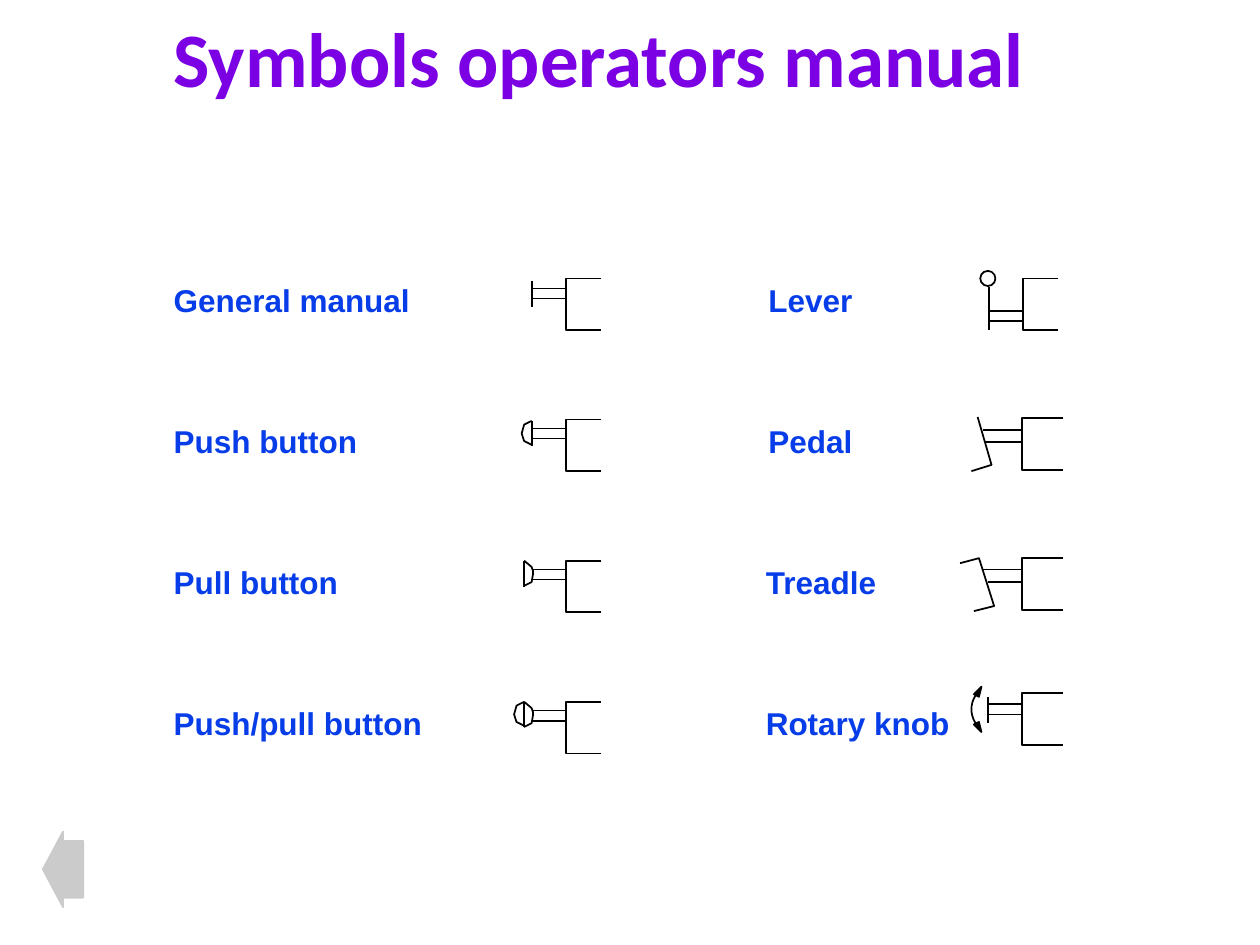
from math import cos, radians, sin

from lxml.etree import SubElement
from pptx import Presentation
from pptx.dml.color import RGBColor
from pptx.enum.shapes import MSO_CONNECTOR as CONNECTOR, MSO_SHAPE as SHAPE
from pptx.enum.text import MSO_ANCHOR as ANCHOR, PP_ALIGN as ALIGN
from pptx.oxml.ns import qn
from pptx.util import Inches, Pt

PURPLE = RGBColor(0x7B, 0x00, 0xE4)
BLUE = RGBColor(0x06, 0x3D, 0xE8)
BLACK = RGBColor(0, 0, 0)
GREY = RGBColor(0xCB, 0xCB, 0xCB)

# Grid in inches: four rows, each with a label and a symbol in two columns
ROW_TOP, ROW_PITCH = 2.18, 1.12
BODY_DROP, BODY_HEIGHT = 0.03, 0.41
LEFT_LABEL, LEFT_BODY = 1.28, 4.49
RIGHT_LABEL, RIGHT_BODY = 6.0, 8.11


# Symbol parts, measured from the top left corner of the valve body
def body(width):
    return [(width, 0), (0, 0), (0, BODY_HEIGHT), (width, BODY_HEIGHT)]


def bar(x, top, bottom):
    return [(x, top), (x, bottom)]


def stalk(upper_start, lower_start, top, gap):
    return [[(upper_start, top), (0, top)],
            [(lower_start, top + gap), (0, top + gap)]]


def shifted(points, dx, dy):
    return [(x + dx, y + dy) for x, y in points]


def arc(cx, cy, radius, start, end, steps=12):
    angles = [radians(start + (end - start) * i / steps) for i in range(steps + 1)]
    return [(cx + radius * cos(a), cy + radius * sin(a)) for a in angles]


PUSH_CAP = [(-0.27, 0.01), (-0.33, 0.04), (-0.35, 0.11), (-0.33, 0.17), (-0.27, 0.2)]
PULL_CAP = [(-0.33, 0.2), (-0.27, 0.17), (-0.26, 0.11), (-0.26, 0.08),
            (-0.27, 0.05), (-0.33, 0)]
BUTTON_STALK = stalk(-0.27, -0.27, 0.07, 0.08)
TURN_CENTRE = 0.13
UPPER_HEAD = [(-0.34, 0.03), (-0.38, 0.01), (-0.32, -0.05)]
LOWER_HEAD = [(x, 2 * TURN_CENTRE - y) for x, y in UPPER_HEAD]

# Label, label width, strokes
LEFT_OPERATORS = [
    ("General manual", 2.08, [body(0.28), bar(-0.27, 0.02, 0.23),
                              *stalk(-0.27, -0.27, 0.08, 0.08)]),
    ("Push button", 1.66, [body(0.28), bar(-0.27, 0.01, 0.21), PUSH_CAP, *BUTTON_STALK]),
    ("Pull button", 1.51, [body(0.28), bar(-0.33, 0, 0.21), PULL_CAP, *BUTTON_STALK]),
    ("Push/pull button", 2.17, [body(0.28), bar(-0.33, 0, 0.2), PULL_CAP,
                                shifted(PUSH_CAP, -0.06, -0.01), *BUTTON_STALK]),
]
# Label, label width, strokes, label shift, symbol shift, knob box, filled heads
RIGHT_OPERATORS = [
    ("Lever", 0.87, [body(0.28), bar(-0.27, 0.07, 0.41),
                     *stalk(-0.26, -0.26, 0.26, 0.08)],
     0, (0.01, 0), (-0.34, -0.06, 0.12), []),
    ("Pedal", 0.87, [body(0.33), [(-0.35, -0.01), (-0.24, 0.37), (-0.4, 0.42)],
                     *stalk(-0.31, -0.29, 0.09, 0.1)],
     0, (0, -0.01), None, []),
    ("Treadle", 1.09, [body(0.33),
                       [(-0.49, 0.04), (-0.34, 0), (-0.22, 0.38), (-0.38, 0.42)],
                       *stalk(-0.31, -0.27, 0.09, 0.1)],
     -0.02, (0, -0.02), None, []),
    ("Rotary knob", 1.66, [body(0.33), bar(-0.27, 0.03, 0.24),
                           *stalk(-0.26, -0.26, 0.09, 0.08),
                           arc(-0.2, TURN_CENTRE, 0.2, 135, 225)],
     -0.02, (0, -0.07), None, [UPPER_HEAD, LOWER_HEAD]),
]


def ink(shape, fill=None, line=BLACK):
    shape.shadow.inherit = False
    if fill is None:
        shape.fill.background()
    else:
        shape.fill.solid()
        shape.fill.fore_color.rgb = fill
    shape.line.color.rgb = line
    shape.line.width = Pt(1)


def add_stroke(shapes, points, fill=None):
    """Draw two points as a line, more points as an outline."""
    points = [(Inches(x), Inches(y)) for x, y in points]
    if len(points) == 2:
        line = shapes.add_connector(CONNECTOR.STRAIGHT, *points[0], *points[1])
        line.line.color.rgb = BLACK
        line.line.width = Pt(1)
        SubElement(line._element.spPr, qn("a:effectLst"))
    else:
        outline = shapes.build_freeform(*points[0], scale=1.0)
        outline.add_line_segments(points[1:], close=fill is not None)
        ink(outline.convert_to_shape(), fill)


def add_text(slide, box, text, font_name, size, color, wrap):
    frame = slide.shapes.add_textbox(*map(Inches, box)).text_frame
    frame.word_wrap = wrap
    frame.vertical_anchor = ANCHOR.MIDDLE if wrap else ANCHOR.TOP
    paragraph = frame.paragraphs[0]
    paragraph.alignment = ALIGN.LEFT
    run = paragraph.add_run()
    run.text = text
    run.font.name, run.font.size, run.font.bold = font_name, Pt(size), True
    run.font.color.rgb = color
    return paragraph


def add_symbol(slide, x, y, strokes, knob=None, heads=()):
    parts = slide.shapes.add_group_shape().shapes
    for stroke in strokes:
        add_stroke(parts, shifted(stroke, x, y))
    for head in heads:
        add_stroke(parts, shifted(head, x, y), BLACK)
    if knob:
        dx, dy, size = knob
        ink(parts.add_shape(SHAPE.OVAL, Inches(x + dx), Inches(y + dy),
                            Inches(size), Inches(size)))


def add_operators(slide, label_x, body_x, operators):
    """Fill one column of the grid with labels and symbols."""
    for row, (label, width, strokes, *extras) in enumerate(operators):
        label_shift, (dx, dy), knob, heads = extras or (0, (0, 0), None, [])
        top = ROW_TOP + row * ROW_PITCH
        add_text(slide, (label_x + label_shift, top, width, 0.4),
                 label, "Arial", 18, BLUE, False)
        add_symbol(slide, body_x + dx, top + BODY_DROP + dy, strokes, knob, heads)


def add_back_arrow(slide, box):
    arrow = slide.shapes.add_shape(SHAPE.LEFT_ARROW, *map(Inches, box))
    arrow.adjustments[0], arrow.adjustments[1] = 0.75, 0.5
    ink(arrow, GREY, GREY)


def main():
    deck = Presentation()
    deck.slide_width, deck.slide_height = Inches(10), Inches(7.5)
    slide = deck.slides.add_slide(deck.slide_layouts[6])
    title = add_text(slide, (1.28, -0.23, 8.63, 1.45), "Symbols operators manual",
                     "Calibri", 44, PURPLE, True)
    title.line_spacing = 0.9
    add_operators(slide, LEFT_LABEL, LEFT_BODY, LEFT_OPERATORS)
    add_operators(slide, RIGHT_LABEL, RIGHT_BODY, RIGHT_OPERATORS)
    add_back_arrow(slide, (0.34, 6.6, 0.32, 0.6))
    deck.save("out.pptx")


if __name__ == "__main__":
    main()
